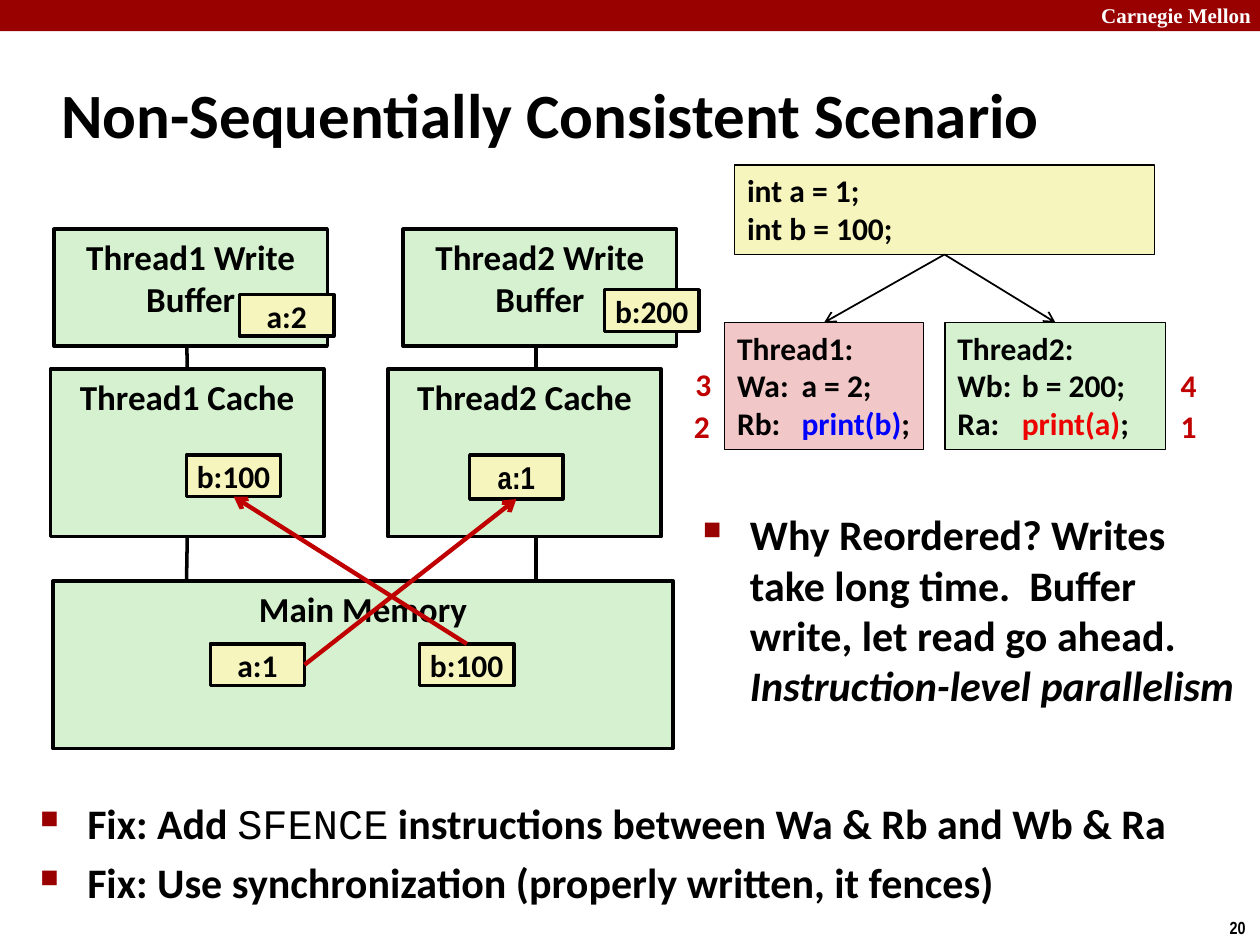
"""Build a slide on a write-buffer scenario that is not sequentially consistent."""
from lxml.etree import SubElement
from pptx import Presentation
from pptx.dml.color import RGBColor as Rgb
from pptx.enum.shapes import MSO_CONNECTOR as Link, MSO_SHAPE as Form
from pptx.enum.text import MSO_ANCHOR as Anchor, PP_ALIGN as Align
from pptx.oxml.ns import qn
from pptx.util import Cm, Pt

HUES = {"bar": "990000", "ink": "000000", "white": "FFFFFF", "green": "D5F1CF",
        "cream": "F6F5BD", "pink": "F1C7C7", "blue": "0000FF", "red": "ED0101",
        "mark": "C00000"}
TOP, LEFT, BOTTOM, RIGHT = range(4)

TITLE = "Non-Sequentially Consistent Scenario"
WIRES = [(3.76, 6.6, 7.44), (10.8, 6.6, 7.44), (3.76, 10.82, 11.71), (10.8, 10.82, 11.71)]
UNITS = {
    "main": ("Main Memory", 1.07, 11.71, 12.5, 3.38),
    "cache1": ("Thread1 Cache", 1.02, 7.44, 5.51, 3.38),
    "cache2": ("Thread2 Cache", 7.82, 7.44, 5.51, 3.38),
    "buf1": ("Thread1 Write Buffer", 1.09, 4.62, 5.51, 2.36),
    "buf2": ("Thread2 Write Buffer", 8.13, 4.62, 5.51, 2.36),
}
CELLS = {
    "main a": ("a:1", 4.24, 12.98, 1.9, 0.84, "Calibri"),
    "main b": ("b:100", 8.46, 12.98, 1.9, 0.84, "Calibri"),
    "buf a": ("a:2", 4.83, 5.94, 1.9, 0.84, "Calibri"),
    "buf b": ("b:200", 12.19, 5.84, 1.9, 0.84, "Calibri"),
    "cache a": ("a:1", 9.47, 9.17, 1.88, 0.89, "Arial Narrow"),
    "cache b": ("b:100", 3.76, 9.17, 1.9, 0.84, "Calibri"),
}
CODE = {
    "init": (["int a = 1;", "int b = 100;"], "cream", 14.81, 3.33, 8.46, 1.8),
    "one": (["Thread1:", "Wa:\ta = 2;",
             ["Rb:\t", ("print(b)", {"hue": "blue"}), ";"]],
            "pink", 14.61, 6.5, 4.01, 2.57),
    "two": (["Thread2:", "Wb:\tb = 200;",
             ["Ra:\t", ("print(a)", {"hue": "red"}), ";"]],
            "green", 19.05, 6.5, 4.45, 2.57),
}
STEPS = [("3", 13.77, 7.24), ("2", 13.74, 8.08), ("4", 23.55, 7.26), ("1", 23.55, 8.08)]
FIXES = [
    ["Fix: Add ", ("SFENCE", {"face": "Courier New", "bold": False}),
     " instructions between Wa & Rb and Wb & Ra"],
    "Fix: Use synchronization (properly written, it fences)",
]
WHY = [["Why Reordered? Writes take long time.  Buffer write, let read go ahead. ",
        ("Instruction-level parallelism", {"slant": True})]]

deck = Presentation()
deck.slide_width, deck.slide_height = Cm(25.4), Cm(19.05)
slide = deck.slides.add_slide(deck.slide_layouts[6])
shapes = slide.shapes


def style(run, size, face="Calibri", hue="ink", bold=True, slant=False):
    font = run.font
    font.size, font.name, font.bold, font.italic = Pt(size), face, bold, slant
    font.color.rgb = Rgb.from_string(HUES[hue])


def write(shape, lines, size, align=Align.LEFT, anchor=Anchor.TOP, wrap=True, **look):
    frame = shape.text_frame
    frame.word_wrap, frame.vertical_anchor = wrap, anchor
    for i, line in enumerate(lines):
        para = frame.add_paragraph() if i else frame.paragraphs[0]
        para.alignment = align
        for part in [line] if isinstance(line, str) else line:
            text, more = (part, {}) if isinstance(part, str) else part
            run = para.add_run()
            run.text = text
            style(run, size, **{**look, **more})
    return frame


def box(fill, spot, width=None):
    shape = shapes.add_shape(Form.RECTANGLE, *map(Cm, spot))
    shape.shadow.inherit = False
    shape.fill.solid()
    shape.fill.fore_color.rgb = Rgb.from_string(HUES[fill])
    if width:
        shape.line.width = Pt(width)
        shape.line.color.rgb = Rgb.from_string(HUES["ink"])
    else:
        shape.line.fill.background()
    return shape


def label(lines, spot, size, **look):
    return write(shapes.add_textbox(*map(Cm, spot)), lines, size, **look)


def draw(width, hue="ink", ends=(0, 0, 0, 0), arrow=False):
    line = shapes.add_connector(Link.STRAIGHT, *map(Cm, ends))
    line.line.width = Pt(width)
    line.line.color.rgb = Rgb.from_string(HUES[hue])
    if arrow:
        SubElement(line.line._get_or_add_ln(), qn("a:tailEnd"), type="arrow")
    SubElement(line._element.spPr, qn("a:effectLst"))
    return line


def join(start, side, stop, face, width, hue="ink"):
    line = draw(width, hue, arrow=True)
    line.begin_connect(start, side)
    line.end_connect(stop, face)


def bullet(frame):
    for i, para in enumerate(frame.paragraphs):
        prop = para._p.get_or_add_pPr()
        prop.set("marL", str(Cm(0.95)))
        prop.set("indent", str(-Cm(0.95)))
        SubElement(SubElement(prop, qn("a:buClr")), qn("a:srgbClr"), val=HUES["bar"])
        SubElement(prop, qn("a:buSzPct"), val="60000")
        SubElement(prop, qn("a:buChar"), char="■")
        if i:
            para.space_before = Pt(5)


box("bar", (0, 0, 25.4, 0.63))
label(["Carnegie Mellon"], (21.95, -0.08, 3.63, 0.76), 12, face="Times New Roman", hue="white")
label(["20"], (24.54, 18.36, 0.86, 0.69), 10, face="Arial Narrow", wrap=False)
label([TITLE], (0.99, 1.22, 21.08, 2.11), 36, anchor=Anchor.MIDDLE)

wires = [draw(2, ends=(x, top, x, low)) for x, top, low in WIRES]
units = {}
for key, (text, *spot) in UNITS.items():
    units[key] = box("green", spot, 2)
    write(units[key], [text], 20, Align.CENTER)
wires[0].end_connect(units["cache1"], TOP)
wires[2].begin_connect(units["cache1"], BOTTOM)

cells = {}
for key, (text, *spot, face) in CELLS.items():
    cells[key] = box("cream", spot, 2)
    write(cells[key], [text], 18, Align.CENTER, Anchor.MIDDLE, False, face=face)
join(cells["main a"], RIGHT, cells["cache a"], BOTTOM, 2.5, "mark")
join(cells["main b"], TOP, cells["cache b"], BOTTOM, 2.5, "mark")

code = {}
for key, (lines, fill, *spot) in CODE.items():
    code[key] = box(fill, spot, 0.75)
    for para in write(code[key], lines, 18).paragraphs:
        tabs = SubElement(para._p.get_or_add_pPr(), qn("a:tabLst"))
        SubElement(tabs, qn("a:tab"), pos=str(Cm(1.3)), algn="l")
for key in ("one", "two"):
    join(code["init"], BOTTOM, code[key], TOP, 1)

for text, x, y in STEPS:
    label([text], (x, y, 0.84, 1.02), 18, hue="mark", wrap=False)
bullet(label(FIXES, (0.56, 15.95, 23.34, 1.37), 24))
bullet(label(WHY, (13.92, 10.13, 11.3, 4.47), 24))

deck.save("out.pptx")
